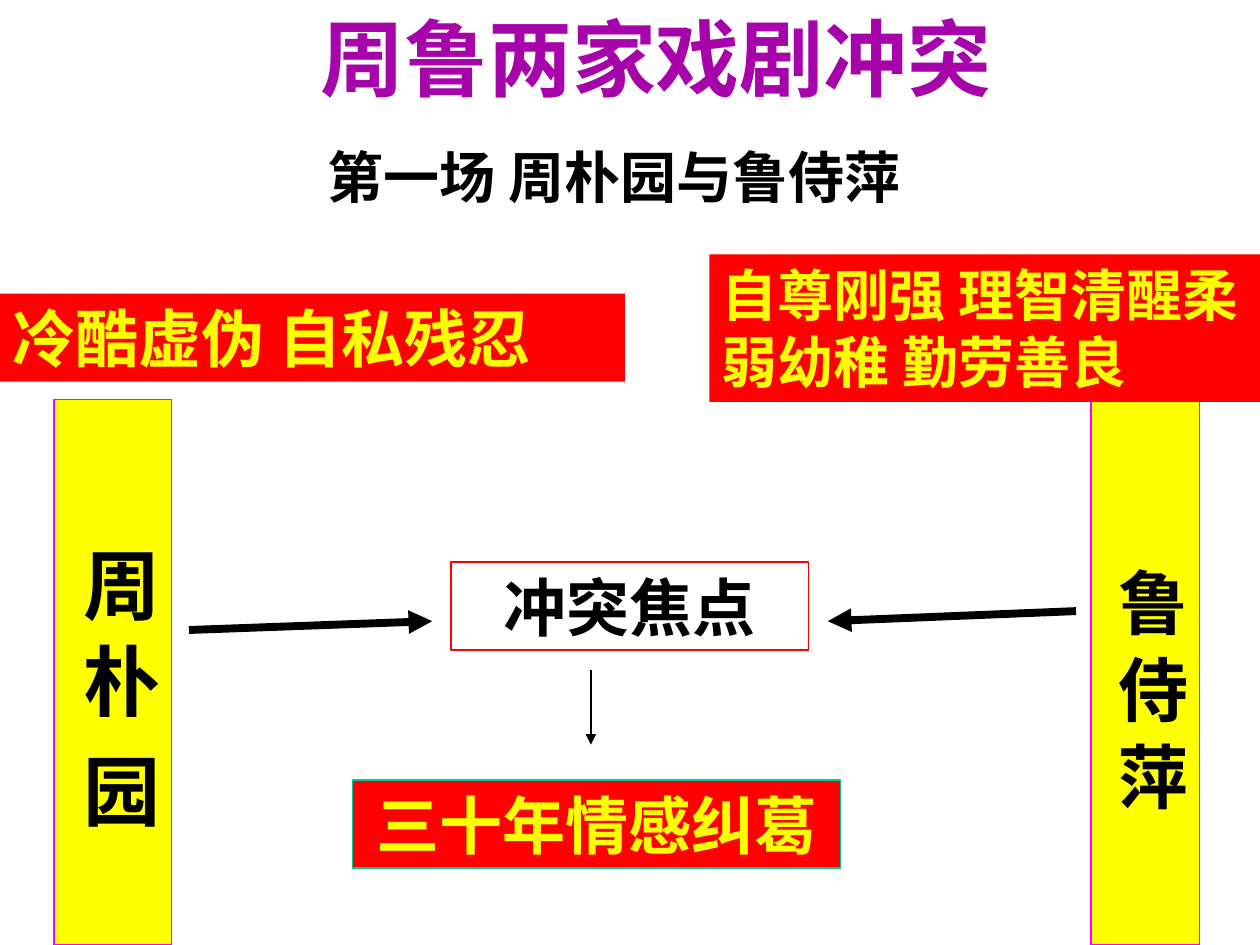
import pptx
import pptx.util
import pptx.dml.color
import pptx.enum.shapes
import pptx.enum.text
import pptx.oxml.ns
from lxml import etree

COLORS = {"purple": "A603AB", "black": "000000", "yellow": "FFFF00", "red": "FF0000",
          "magenta": "FF00FF", "teal": "00CC99"}
SANS, SERIF = "Noto Sans CJK SC", "Times New Roman"
Pt = pptx.util.Pt
qn = pptx.oxml.ns.qn
ALIGN = pptx.enum.text.PP_ALIGN

deck = pptx.Presentation()
deck.slide_width, deck.slide_height = pptx.util.Inches(10), pptx.util.Inches(7.5)
slide = deck.slides.add_slide(deck.slide_layouts[6])

# Grid of 100 columns by 75 rows
column, row = deck.slide_width / 100, deck.slide_height / 75


def add_box(place, fill=None, line=None):
    left, top, width, height = place
    box = slide.shapes.add_shape(
        pptx.enum.shapes.MSO_SHAPE.RECTANGLE,
        int(left * column), int(top * row), int(width * column), int(height * row))
    box.shadow.inherit = False
    if fill:
        box.fill.solid()
        box.fill.fore_color.rgb = pptx.dml.color.RGBColor.from_string(COLORS[fill])
    else:
        box.fill.background()
    if line:
        box.line.color.rgb = pptx.dml.color.RGBColor.from_string(COLORS[line])
        box.line.width = Pt(0.75)
    else:
        box.line.fill.background()
    return box


def write(box, pieces, size, color, font=SANS, align=ALIGN.LEFT):
    frame = box.text_frame
    frame.word_wrap = True
    frame.vertical_anchor = pptx.enum.text.MSO_ANCHOR.TOP
    paragraph = frame.paragraphs[0]
    paragraph.alignment = align
    for piece in pieces:
        run = paragraph.add_run()
        run.text = piece
        run.font.size, run.font.bold, run.font.name = Pt(size), True, font
        run.font.color.rgb = pptx.dml.color.RGBColor.from_string(COLORS[color])
        etree.SubElement(run.font._element, qn("a:ea"), typeface=SANS)
    return frame


# Title and scene heading
for heading, place, size, color, side_margin in [
    ("周鲁两家戏剧冲突", (25.4, 0, 54.2, 6.7), 48, "purple", 0),
    ("第一场 周朴园与鲁侍萍", (25, 10.8, 49.2, 6.4), 32, "black", 1),
]:
    left, top, width, height = place
    heading_box = slide.shapes.add_textbox(
        int(left * column), int(top * row), int(width * column), int(height * row))
    frame = write(heading_box, [heading], size, color)
    frame.margin_left = frame.margin_right = int(side_margin * column)

# The two characters, written downwards; a lone space is a widened gap
for name, left, width, size, name_offset in [
    (["鲁 侍 萍"], 86.6, 8.6, 40, 13.4),
    (["周 朴", " ", "园"], 4.3, 9.3, 44, 11.7),
]:
    pillar = add_box((left, 31.7, width, 43.3), "yellow", "magenta")
    frame = write(pillar, name, size, "black")
    frame.margin_left = frame.margin_right = int(0.5 * column)
    frame.margin_top, frame.margin_bottom = int(name_offset * row), int(row)
    frame._txBody.bodyPr.set("vert", "eaVert")
    for run in frame.paragraphs[0].runs:
        if run.text == " ":
            run.font._element.set("spc", str(int(size * 22.4)))

# Focus of the conflict and its cause
for label, place, fill, line, color in [
    ("冲突焦点", (35.8, 44.6, 28.4, 7), None, "red", "black"),
    ("三十年情感纠葛", (28, 61.9, 38.7, 7), "red", "teal", "yellow"),
]:
    write(add_box(place, fill, line), [label], 36, color, SERIF, ALIGN.CENTER)

# Traits above each character
for traits, place, size in [
    ("冷酷虚伪 自私残忍", (0, 23.3, 49.6, 7), 36),
    ("自尊刚强 理智清醒柔弱幼稚 勤劳善良", (56.3, 20.2, 43.7, 11.7), 32),
]:
    write(add_box(place, "red"), [traits], size, "yellow")

# Arrows from the characters to the focus, and on to the cause
for x1, y1, x2, y2, weight in [
    (15, 50, 34.3, 49.3, 4.5),
    (85.4, 48.5, 65.7, 49.3, 4.5),
    (46.9, 53.2, 46.9, 59.1, 0.75),
]:
    arrow = slide.shapes.add_connector(
        pptx.enum.shapes.MSO_CONNECTOR.STRAIGHT,
        int(x1 * column), int(y1 * row), int(x2 * column), int(y2 * row))
    arrow.line.color.rgb = pptx.dml.color.RGBColor.from_string(COLORS["black"])
    arrow.line.width = Pt(weight)
    etree.SubElement(arrow.line._get_or_add_ln(), qn("a:tailEnd"), type="triangle")
    etree.SubElement(arrow._element.spPr, qn("a:effectLst"))

deck.save("out.pptx")
